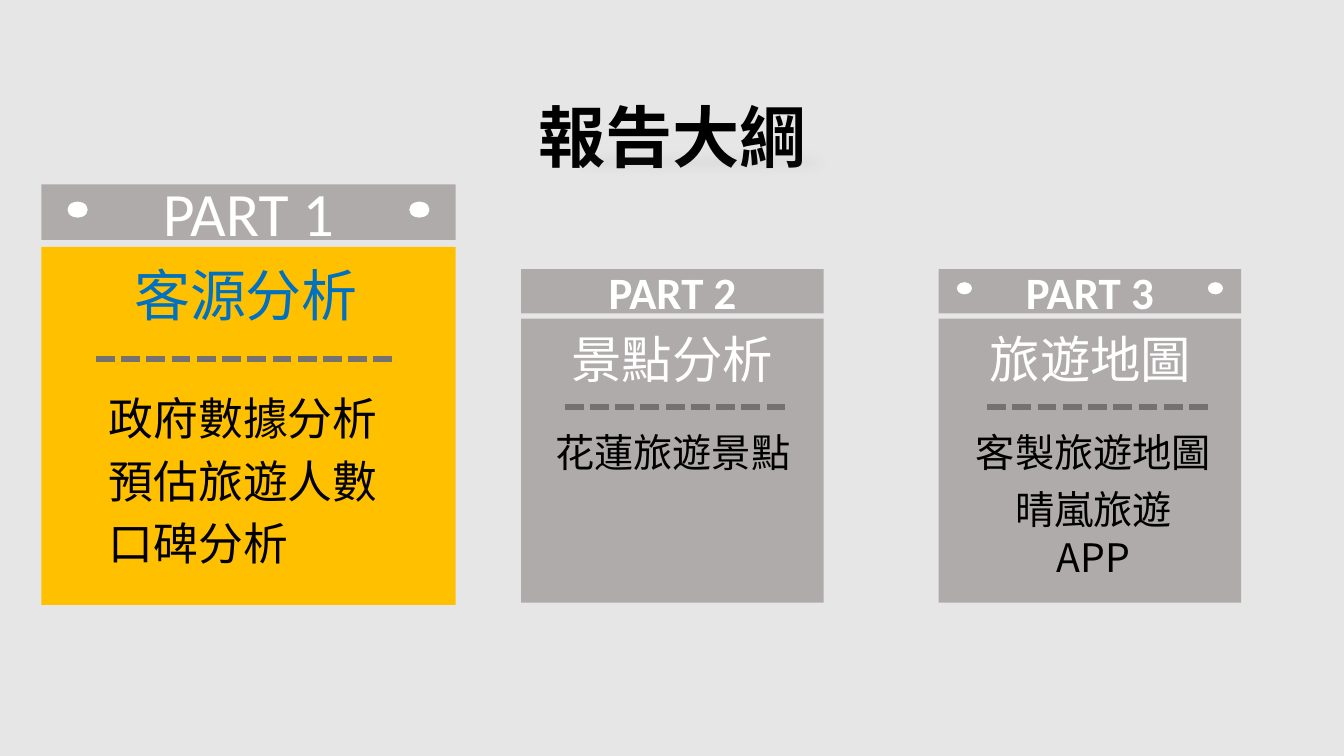
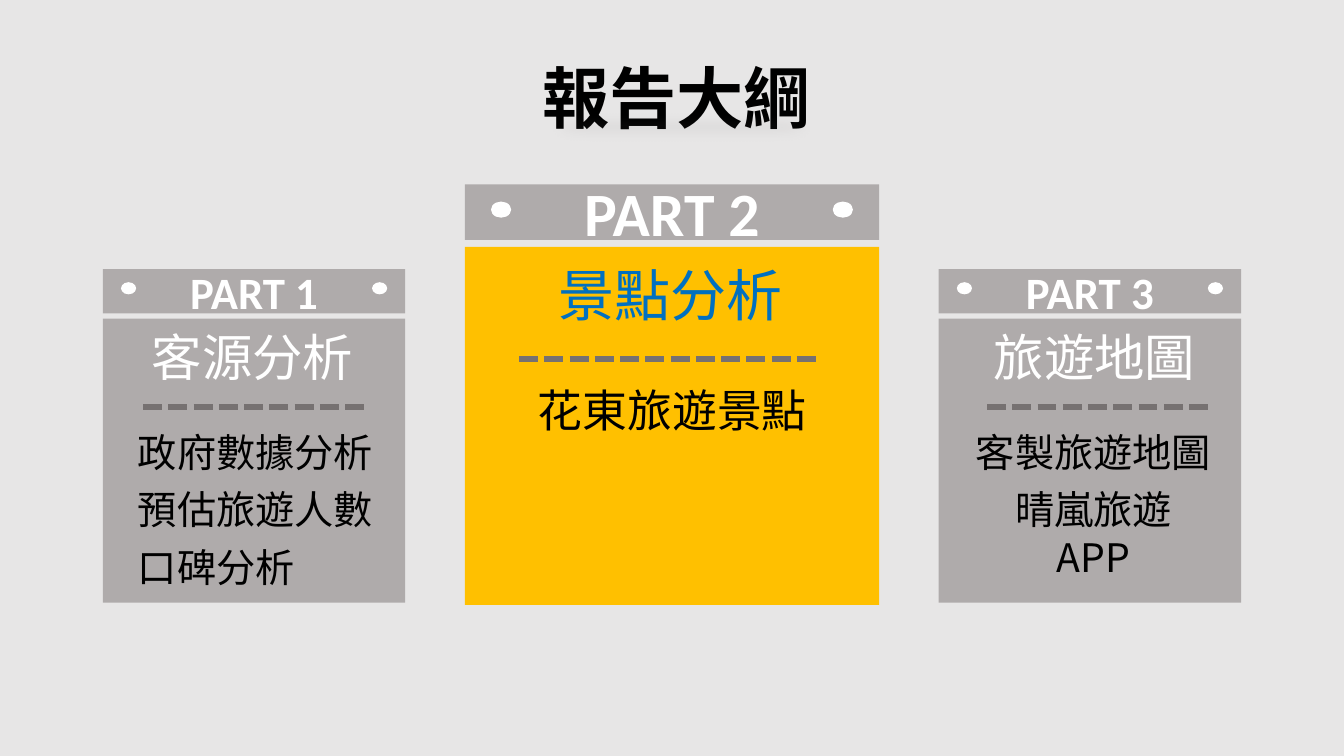
from dataclasses import dataclass

from lxml.etree import SubElement
from pptx import Presentation
from pptx.dml.color import RGBColor
from pptx.enum.dml import MSO_LINE_DASH_STYLE as Dash
from pptx.enum.shapes import MSO_CONNECTOR as Link
from pptx.enum.shapes import MSO_SHAPE as Form
from pptx.enum.text import MSO_ANCHOR as Anchor
from pptx.enum.text import MSO_AUTO_SIZE as Fit
from pptx.enum.text import PP_ALIGN as Align
from pptx.oxml.ns import qn
from pptx.util import Pt

# Shared look: 100 px to the inch
SCALE = 9144
WIDE, HIGH = 1333, 750
PAPER, GREY, GOLD = "E7E6E6", "AFABAB", "FFC000"
DARK, BLUE, WHITE, BLACK = "767171", "0070C0", "FFFFFF", "000000"
LATIN, HAN, PROSE = "Calibri", "Noto Sans CJK SC", "Noto Sans CJK TC"


@dataclass(frozen=True)
class Size:
    """Measures of a card; the tops count from the top of the slide."""
    width: int
    head: tuple[int, int]
    body: tuple[int, int]
    dot: tuple[int, int, int, int]  # inset, top, width, height
    rule: tuple[int, int]           # top, length
    label: tuple[int, int]          # width, height
    note: tuple[int, int, int]      # width, height, pitch
    points: tuple[int, int, int]    # head, label, note
    fill: str
    ink: str


SMALL = Size(300, (267, 44), (316, 282), (18, 280, 15, 12), (404, 219),
             (259, 71), (257, 57, 57), (32, 36, 28), GREY, WHITE)
LARGE = Size(411, (183, 55), (245, 355), (26, 200, 20, 16), (356, 300),
             (364, 77), (314, 64, 62), (44, 40, 32), GOLD, BLUE)


@dataclass(frozen=True)
class Card:
    size: Size
    left: int
    head: str
    label: str
    notes: tuple[str, ...]
    spot: tuple[int, int]   # label: inset, top
    rule: int               # rule: inset
    start: tuple[int, int]  # notes: inset, top
    align: Align = Align.LEFT
    bold: bool = True
    dots: bool = True


@dataclass(frozen=True)
class Page:
    title: tuple[int, int]
    shade: tuple[int, int]
    cards: tuple[Card, ...]


def px(*values: int) -> list[int]:
    return [value * SCALE for value in values]


def tint(code: str) -> RGBColor:
    return RGBColor.from_string(code)


def write(frame, words: str, face: str, points: int, ink: str,
          align: Align = Align.CENTER, bold: bool = False) -> None:
    frame.word_wrap = True
    frame.text = words
    style = {"name": face, "size": Pt(points), "bold": bold}
    for para in frame.paragraphs:
        para.alignment = align
        for run in para.runs:
            for key, value in style.items():
                setattr(run.font, key, value)
            run.font.color.rgb = tint(ink)
            SubElement(run.font._element, qn("a:ea"), typeface=face)


def block(shapes, form: Form, box: tuple[int, ...], fill: str):
    shape = shapes.add_shape(form, *px(*box))
    shape.shadow.inherit = False
    shape.fill.solid()
    shape.fill.fore_color.rgb = tint(fill)
    shape.line.fill.background()
    return shape


def label(shapes, box: tuple[int, ...], words: str, face: str, points: int,
          ink: str, align: Align = Align.CENTER, bold: bool = False) -> None:
    frame = shapes.add_textbox(*px(*box)).text_frame
    write(frame, words, face, points, ink, align, bold)
    frame.auto_size = Fit.SHAPE_TO_FIT_TEXT


def rule(shapes, left: int, top: int, length: int) -> None:
    line = shapes.add_connector(Link.STRAIGHT,
                                *px(left, top, left + length, top))
    style = {"width": Pt(4.5), "dash_style": Dash.SQUARE_DOT}
    line.line.color.rgb = tint(DARK)
    for key, value in style.items():
        setattr(line.line, key, value)
    # SQUARE_DOT is stored as sysDot; the rule needs the longer sysDash
    line.line._ln.find(qn("a:prstDash")).set("val", "sysDash")
    SubElement(line._element.spPr, qn("a:effectLst"))


def shade(shapes, left: int, top: int) -> None:
    """Soft, see-through bar below the title."""
    bar = block(shapes, Form.RECTANGLE, (left, top, 300, 44), DARK)
    props = bar._element.spPr
    tone = props.find(qn("a:solidFill"))[0]
    SubElement(tone, qn("a:alpha"), val="46000")
    SubElement(props.find(qn("a:effectLst")), qn("a:softEdge"), rad="158750")


def draw(slide, card: Card) -> None:
    size, left = card.size, card.left
    shapes = slide.shapes.add_group_shape().shapes
    head, name, text = size.points

    # Body and head
    block(shapes, Form.RECTANGLE,
          (left, size.body[0], size.width, size.body[1]), size.fill)
    top = block(shapes, Form.RECTANGLE,
                (left, size.head[0], size.width, size.head[1]), GREY)
    top.text_frame.vertical_anchor = Anchor.MIDDLE
    write(top.text_frame, card.head, LATIN, head, WHITE, bold=card.bold)

    # Pin holes
    if card.dots:
        inset, level, width, height = size.dot
        for shift in (inset, size.width - inset - width):
            block(shapes, Form.OVAL, (left + shift, level, width, height),
                  WHITE)

    # Label, rule and notes
    label(shapes, (left + card.spot[0], card.spot[1], *size.label),
          card.label, HAN, name, size.ink)
    rule(shapes, left + card.rule, *size.rule)
    width, height, pitch = size.note
    inset, first = card.start
    for row, words in enumerate(card.notes):
        label(shapes, (left + inset, first + row * pitch, width, height),
              words, PROSE, text, BLACK, card.align)


# Wording
GUESTS = ("PART 1", "客源分析", ("政府數據分析", "預估旅遊人數", "口碑分析"))
SIGHTS = ("PART 2", "景點分析")
MAPS = ("PART 3", "旅遊地圖", ("客製旅遊地圖", "晴嵐旅遊\nAPP"))

PAGES = (
    Page((517, 90), (543, 139), (
        Card(LARGE, 41, *GUESTS, (21, 254), 54, (57, 383), bold=False),
        Card(SMALL, 517, *SIGHTS, ("花蓮旅遊景點",), (20, 321), 43,
             (24, 420), dots=False),
        Card(SMALL, 931, *MAPS, (21, 321), 48, (25, 420), Align.CENTER),
    )),
    Page((521, 51), (526, 104), (
        Card(SMALL, 102, *GUESTS, (19, 319), 40, (25, 420)),
        Card(LARGE, 461, *SIGHTS, ("花東旅遊景點",), (22, 254), 54,
             (49, 375), Align.CENTER),
        Card(SMALL, 931, *MAPS, (25, 319), 48, (25, 420), Align.CENTER),
    )),
)


def main() -> None:
    deck = Presentation()
    deck.slide_width, deck.slide_height = px(WIDE, HIGH)
    for page in PAGES:
        slide = deck.slides.add_slide(deck.slide_layouts[6])
        paper = slide.background.fill
        paper.solid()
        paper.fore_color.rgb = tint(PAPER)
        for card in page.cards:
            draw(slide, card)
        label(slide.shapes, (*page.title, 300, 91), "報告大綱", HAN, 48,
              BLACK, bold=True)
        shade(slide.shapes, *page.shade)
    deck.save("out.pptx")


if __name__ == "__main__":
    main()
